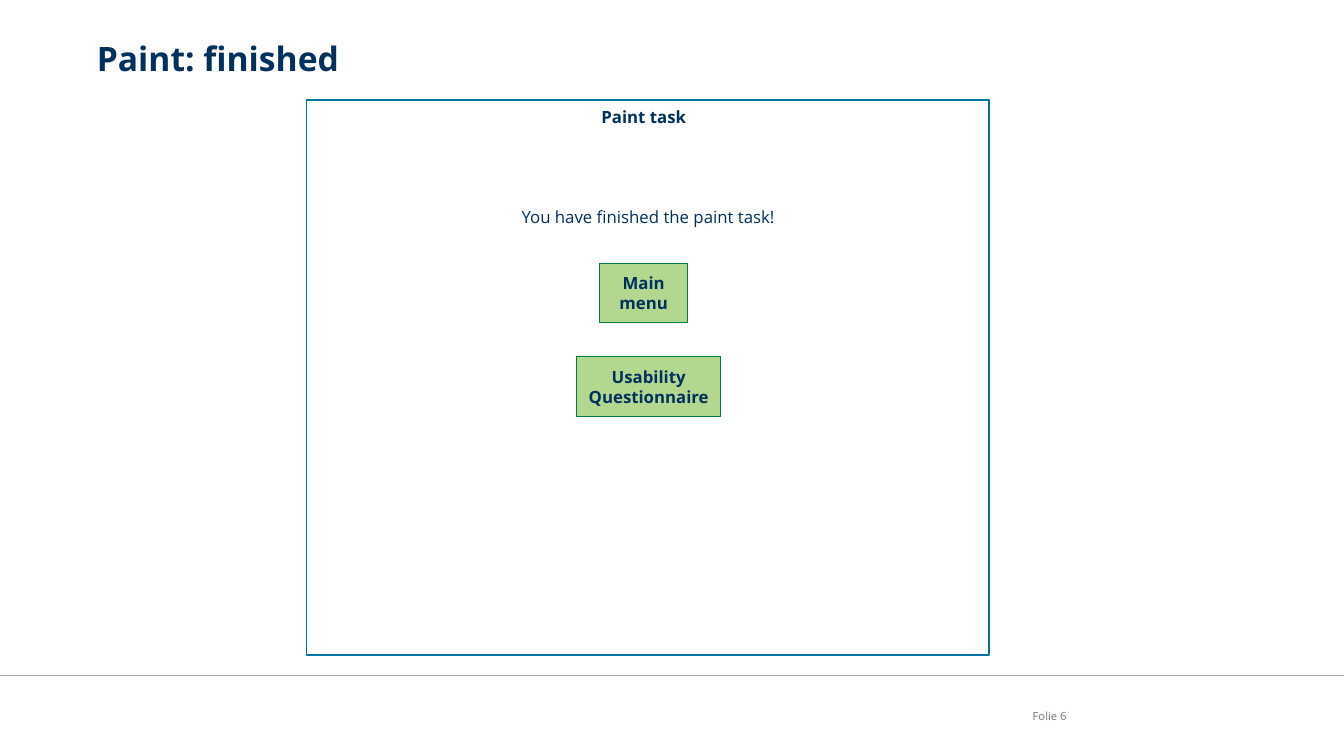
"""Build the slide that shows the finished screen of the paint task."""
from lxml import etree
from pptx import Presentation
from pptx.dml.color import RGBColor
from pptx.enum.shapes import MSO_CONNECTOR, MSO_SHAPE
from pptx.enum.text import MSO_ANCHOR, MSO_AUTO_SIZE, PP_ALIGN
from pptx.oxml.ns import qn
from pptx.util import Inches, Pt

RECTANGLE = MSO_SHAPE.RECTANGLE
STRAIGHT = MSO_CONNECTOR.STRAIGHT
TOP, MIDDLE = MSO_ANCHOR.TOP, MSO_ANCHOR.MIDDLE
LEFT, CENTER, RIGHT = PP_ALIGN.LEFT, PP_ALIGN.CENTER, PP_ALIGN.RIGHT
NO_AUTOFIT = MSO_AUTO_SIZE.NONE

FONT = "Open Sans"
COLORS = {
    "navy": "00305E",
    "blue": "0075A6",
    "green": "6AB023",
    "dark_green": "007D40",
    "gray": "727879",
    "rule": "A6A6A6",
}


def color(name):
    """Return the named colour."""
    return RGBColor.from_string(COLORS[name])


def write(shape, text, size=12, bold=False, align=CENTER, anchor=MIDDLE, ink="navy"):
    """Put formatted text without margins into a shape."""
    frame = shape.text_frame
    frame.text = text
    frame.word_wrap = True
    frame.auto_size = NO_AUTOFIT
    frame.vertical_anchor = anchor
    frame.margin_left = frame.margin_right = 0
    frame.margin_top = frame.margin_bottom = 0
    paragraph = frame.paragraphs[0]
    paragraph.alignment = align
    font = paragraph.runs[0].font
    font.name = FONT
    font.size = Pt(size)
    font.bold = bold
    font.color.rgb = color(ink)


presentation = Presentation()
presentation.slide_width = Inches(13.33)
presentation.slide_height = Inches(7.5)
slide = presentation.slides.add_slide(presentation.slide_layouts[5])
shapes = slide.shapes

footer_rule = shapes.add_connector(
    STRAIGHT, 0, Inches(6.7), presentation.slide_width, Inches(6.7)
)
footer_rule.line.color.rgb = color("rule")
footer_rule.line.width = Pt(1)
etree.SubElement(footer_rule._element.spPr, qn("a:effectLst"))

title = shapes.title
title.left, title.top = Inches(0.96), Inches(0.38)
title.width, title.height = Inches(11.57), Inches(0.75)
write(title, "Paint: finished", size=24, bold=True, align=LEFT, anchor=TOP)

window = shapes.add_shape(RECTANGLE, Inches(3.04), Inches(0.99), Inches(6.77), Inches(5.51))
window.shadow.inherit = False
window.fill.background()
window.line.color.rgb = color("blue")
window.line.width = Pt(1)

labels = [
    ("Paint task", 4.81, 1.01, 3.15, 0.3, {"bold": True}),
    ("You have finished the paint task!", 3.2, 2, 6.46, 0.3, {}),
    ("Folie 6", 9.81, 6.9, 0.77, 0.4, {"size": 8, "align": RIGHT, "ink": "gray"}),
]
for text, left, top, width, height, style in labels:
    label = shapes.add_textbox(Inches(left), Inches(top), Inches(width), Inches(height))
    write(label, text, **style)

buttons = [
    ("Main menu", 5.95, 2.61, 0.87),
    ("Usability Questionnaire", 5.72, 3.54, 1.43),
]
for text, left, top, width in buttons:
    button = shapes.add_shape(RECTANGLE, Inches(left), Inches(top), Inches(width), Inches(0.59))
    button.shadow.inherit = False
    button.fill.solid()
    button.fill.fore_color.rgb = color("green")
    fill_color = button._element.spPr.find(qn("a:solidFill")).find(qn("a:srgbClr"))
    etree.SubElement(fill_color, qn("a:alpha"), val="50000")
    button.line.color.rgb = color("dark_green")
    button.line.width = Pt(0.75)
    write(button, text, bold=True)

presentation.save("out.pptx")
